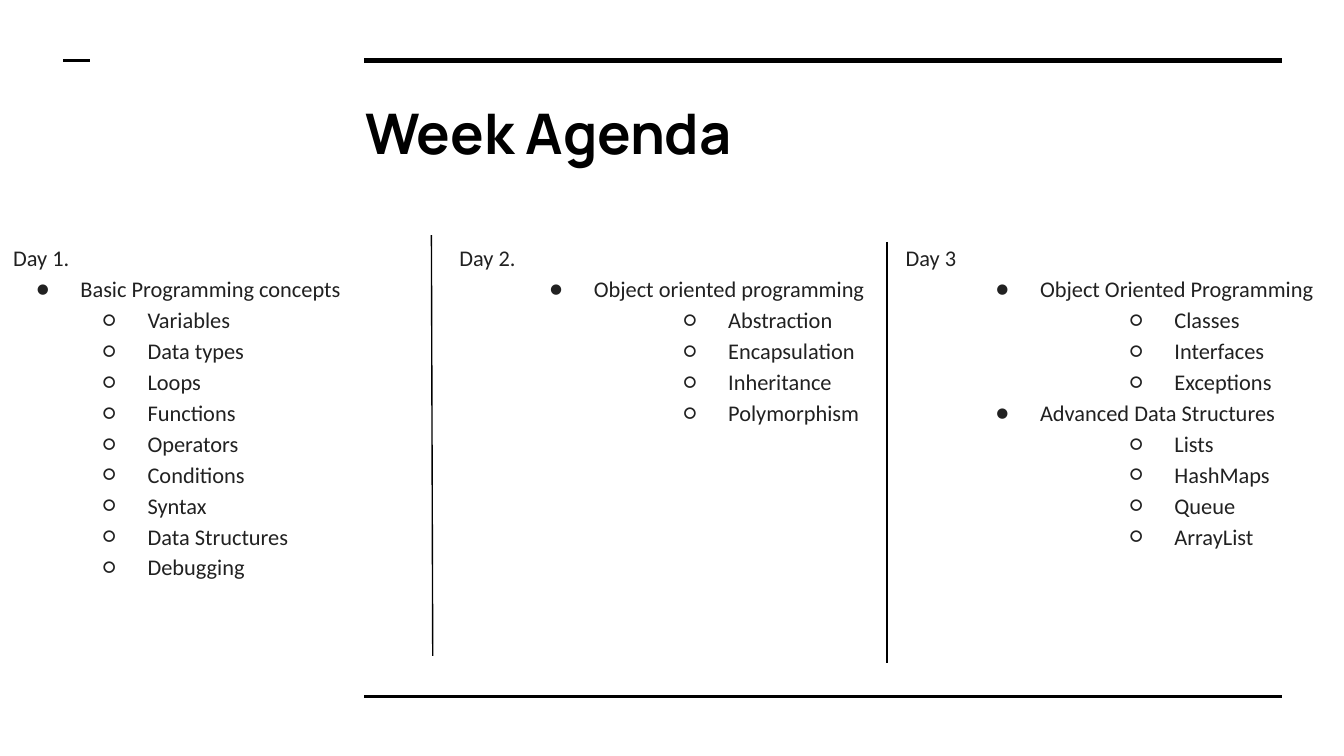
from lxml.etree import SubElement
from pptx import Presentation
from pptx.dml.color import RGBColor
from pptx.enum.text import MSO_ANCHOR, MSO_AUTO_SIZE, PP_ALIGN
from pptx.oxml.ns import qn
from pptx.util import Inches, Pt

HUES = {"ink": "000000", "text": "212121", "back": "FFFFFF"}
HEAD = {"name": "Manrope", "size": Pt(30), "bold": True}
BODY = {"name": "Calibri", "size": Pt(12), "bold": False}
FRAME = {
    "word_wrap": True,
    "auto_size": MSO_AUTO_SIZE.NONE,
    "vertical_anchor": MSO_ANCHOR.TOP,
    **{f"margin_{side}": Inches(0.1) for side in ("left", "right", "top", "bottom")},
}
MARKS = "●○"
HANG = 0.33
STEP = 3.32  # distance between day columns

# Start, end (inches) and width (points)
RULES = [
    ((2.71, 0.45), (9.54, 0.45), 3),
    ((2.71, 5.18), (9.54, 5.18), 1.5),
    ((0.47, 0.45), (0.67, 0.45), 1.5),
    ((3.21, 1.75), (3.22, 4.88), 0.75),
    ((6.6, 1.8), (6.6, 4.93), 0.75),
]

# Heading, indent per level (inches), topics with their items
DAYS = [
    ("Day 1.", 0.5, {
        "Basic Programming concepts": [
            "Variables", "Data types", "Loops", "Functions", "Operators",
            "Conditions", "Syntax", "Data Structures", "Debugging"],
    }),
    ("Day 2.", 1, {
        "Object oriented programming": [
            "Abstraction", "Encapsulation", "Inheritance", "Polymorphism"],
    }),
    ("Day 3", 1, {
        "Object Oriented Programming": ["Classes", "Interfaces", "Exceptions"],
        "Advanced Data Structures": ["Lists", "HashMaps", "Queue", "ArrayList"],
    }),
]


def color(key):
    return RGBColor.from_string(HUES[key])


def apply(thing, style):
    for name, value in style.items():
        setattr(thing, name, value)


def add_rule(slide, start, end, width):
    ends = [Inches(n) for n in (*start, *end)]
    rule = slide.shapes.add_connector(1, *ends)
    rule.line.color.rgb = color("ink")
    rule.line.width = Pt(width)
    SubElement(rule._element.spPr, qn("a:effectLst"))


def set_title(slide, text):
    title = slide.shapes.title
    box = {"left": 2.62, "top": 0.63, "width": 6.91, "height": 0.69}
    apply(title, {name: Inches(n) for name, n in box.items()})
    apply(title.text_frame, FRAME)
    para = title.text_frame.paragraphs[0]
    para.alignment = PP_ALIGN.LEFT
    run = para.add_run()
    run.text = text
    apply(run.font, HEAD)
    run.font.color.rgb = color("ink")


def add_mark(para, level, indent):
    """Give the paragraph its level's bullet and hanging indent."""
    para.level = level
    props = para._p.get_or_add_pPr()
    props.set("marL", str(Inches(indent * (level + 1))))
    props.set("indent", str(-Inches(HANG)))
    tint = SubElement(props, qn("a:buClr"))
    SubElement(tint, qn("a:srgbClr"), val=HUES["text"])
    SubElement(props, qn("a:buFont"), typeface=BODY["name"])
    SubElement(props, qn("a:buChar"), char=MARKS[level])


def add_line(para, text):
    para.line_spacing = 1.15
    run = para.add_run()
    run.text = text
    apply(run.font, BODY)
    run.font.color.rgb = color("text")


def add_day(slide, left, head, indent, topics):
    box = slide.shapes.add_textbox(
        Inches(left), Inches(1.69), Inches(3.36), Inches(3.28))
    frame = box.text_frame
    apply(frame, FRAME)
    add_line(frame.paragraphs[0], head)
    for topic, items in topics.items():
        for level, text in [(0, topic), *((1, item) for item in items)]:
            para = frame.add_paragraph()
            add_line(para, text)
            add_mark(para, level, indent)


def main():
    deck = Presentation()
    deck.slide_width = Inches(10)
    deck.slide_height = Inches(10) * 9 // 16
    slide = deck.slides.add_slide(deck.slide_layouts[5])
    slide.background.fill.solid()
    slide.background.fill.fore_color.rgb = color("back")
    set_title(slide, "Week Agenda")
    for col, day in enumerate(DAYS):
        add_day(slide, col * STEP, *day)
    for rule in RULES:
        add_rule(slide, *rule)
    deck.save("out.pptx")


if __name__ == "__main__":
    main()
